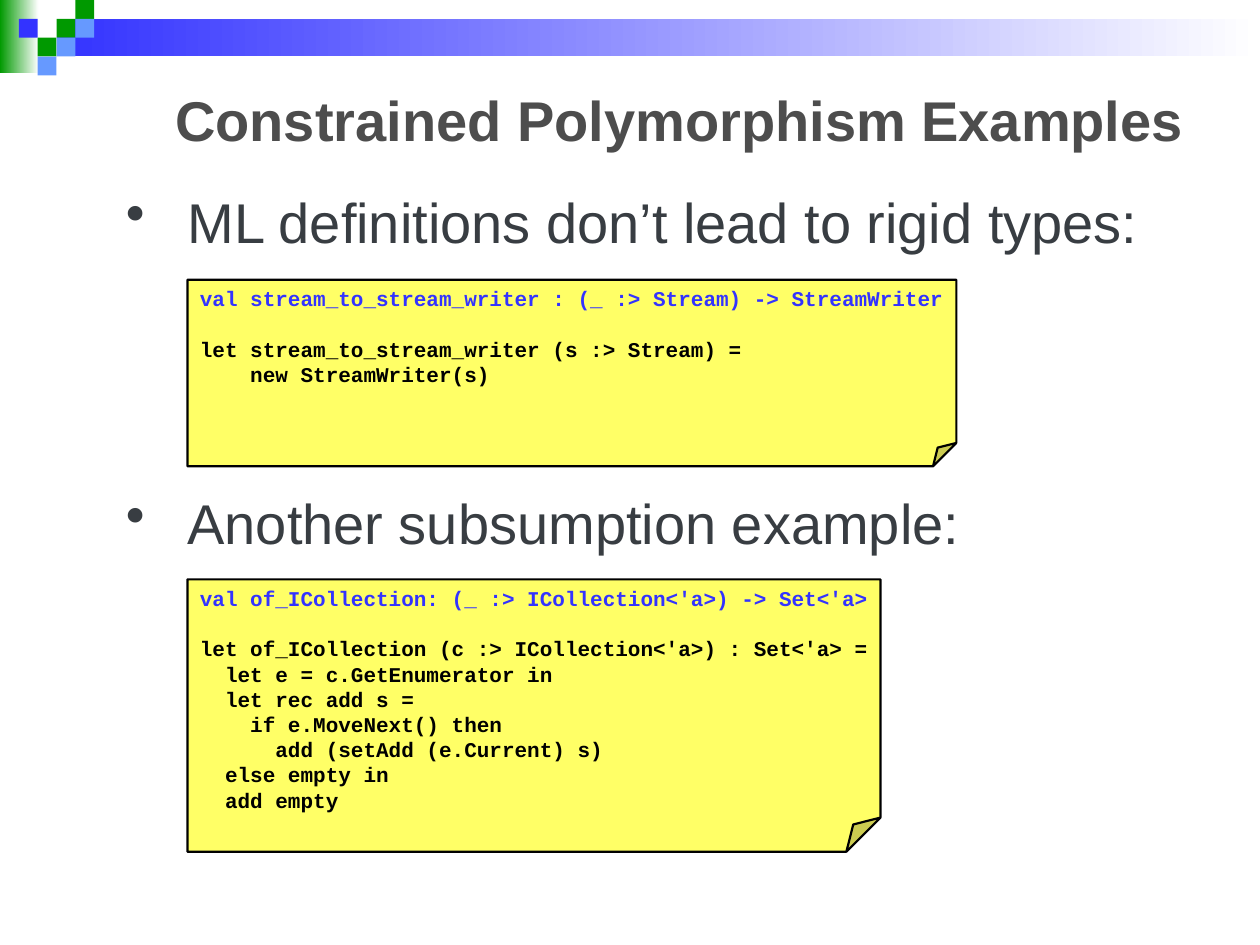
import pptx
import pptx.dml.color
import pptx.enum.shapes
import pptx.enum.text
import pptx.oxml.ns
import pptx.util
from lxml import etree
from pptx.util import Cm, Pt

TITLE = "Constrained Polymorphism Examples"
BULLETS = [  # text, space before in points
    ("ML definitions don’t lead to rigid types:", 0),
    ("Another subsumption example:", 141.5),
]
NOTES = [  # top, width, height in cm, signature, code lines
    (5.64, 15.5, 3.76,
     "val stream_to_stream_writer : (_ :> Stream) -> StreamWriter",
     ["let stream_to_stream_writer (s :> Stream) =",
      "    new StreamWriter(s)"]),
    (11.68, 13.97, 5.49,
     "val of_ICollection: (_ :> ICollection<'a>) -> Set<'a>",
     ["let of_ICollection (c :> ICollection<'a>) : Set<'a> =",
      "  let e = c.GetEnumerator in",
      "  let rec add s =",
      "    if e.MoveNext() then",
      "      add (setAdd (e.Current) s)",
      "  else empty in",
      "  add empty"]),
]
NOTE_LEFT = 3.78
CODE_LINE = 14.4
GREEN, BLUE, SKY, WHITE = "009900", "3333FF", "6699FF", "FFFFFF"
BANDS = [  # left, top, width, height in cm, colour that fades to white
    (0, 0, 0.78, 1.48, GREEN),
    (1.14, 0.38, 24.26, 0.76, BLUE),
]
TILE = 0.38
TILES = [  # column, row, colour
    (3, 1, GREEN), (4, 0, GREEN), (4, 1, SKY), (2, 2, GREEN),
    (1, 1, BLUE), (3, 2, SKY), (2, 3, SKY),
]
SHAPES = pptx.enum.shapes.MSO_SHAPE
ANCHOR = pptx.enum.text.MSO_ANCHOR


def color(value):
    return pptx.dml.color.RGBColor.from_string(value)


def set_font(paragraph, name, size, value, bold=False):
    font = paragraph.font
    font.name, font.size, font.bold = name, Pt(size), bold
    font.color.rgb = color(value)


def add_block(page, kind, left, top, width, height):
    block = page.shapes.add_shape(kind, Cm(left), Cm(top), Cm(width), Cm(height))
    block.shadow.inherit = False
    block.line.fill.background()
    return block


def add_text_box(page, left, top, width, height):
    box = page.shapes.add_textbox(Cm(left), Cm(top), Cm(width), Cm(height))
    box.text_frame.word_wrap = True
    return box.text_frame


def fill_paragraphs(frame, texts):
    """Put one text in each paragraph and return the paragraphs."""
    frame.text = "\n".join(texts)
    return frame.paragraphs


def add_bullet(paragraph, indent):
    properties = paragraph._p.get_or_add_pPr()
    properties.set("marL", str(Cm(indent)))
    properties.set("indent", str(-Cm(indent)))
    bullet = etree.SubElement(properties, pptx.oxml.ns.qn("a:buChar"))
    bullet.set("char", "•")


def set_fold(note, share):
    """Set the size of the folded corner, as a share of the shorter side."""
    geometry = note._element.spPr.find(pptx.oxml.ns.qn("a:prstGeom"))
    guide = etree.SubElement(geometry.get_or_add_avLst(), pptx.oxml.ns.qn("a:gd"))
    guide.set("name", "adj")
    guide.set("fmla", f"val {round(share * 100000)}")


def add_header(page):
    for left, top, width, height, value in BANDS:
        band = add_block(page, SHAPES.RECTANGLE, left, top, width, height)
        band.fill.gradient()
        band.fill.gradient_angle = 0
        for stop, shade, position in zip(band.fill.gradient_stops, (value, WHITE), (0, 1)):
            stop.color.rgb = color(shade)
            stop.position = position
    for column, row, value in TILES:
        tile = add_block(page, SHAPES.RECTANGLE, column * TILE, row * TILE, TILE, TILE)
        tile.fill.solid()
        tile.fill.fore_color.rgb = color(value)


def add_title(page):
    frame = add_text_box(page, 1.27, 1.27, 22.86, 2.26)
    frame.vertical_anchor = ANCHOR.MIDDLE
    paragraph = fill_paragraphs(frame, [TITLE])[0]
    paragraph.alignment = pptx.enum.text.PP_ALIGN.RIGHT
    set_font(paragraph, "Arial", 32, "4D4D4D", bold=True)


def add_bullets(page):
    frame = add_text_box(page, 2.29, 3.91, 21, 12.19)
    paragraphs = fill_paragraphs(frame, [text for text, _ in BULLETS])
    for paragraph, (_, gap) in zip(paragraphs, BULLETS):
        paragraph.line_spacing = 0.8
        paragraph.space_before = Pt(gap)
        add_bullet(paragraph, 1.24)
        set_font(paragraph, "Arial", 32, "383D42")


def add_note(page, top, width, height, signature, code):
    note = add_block(page, SHAPES.FOLDED_CORNER, NOTE_LEFT, top, width, height)
    set_fold(note, 0.125)
    note.fill.solid()
    note.fill.fore_color.rgb = color("FFFF66")
    note.line.color.rgb = color("000000")
    note.line.width = Pt(1.25)
    frame = note.text_frame
    frame.word_wrap = True
    frame.vertical_anchor = ANCHOR.TOP
    frame.margin_right = 0
    paragraphs = fill_paragraphs(frame, [signature] + code)
    for index, paragraph in enumerate(paragraphs):
        paragraph.alignment = pptx.enum.text.PP_ALIGN.LEFT
        paragraph.line_spacing = Pt(CODE_LINE)
        set_font(paragraph, "Courier New", 12, "000000" if index else BLUE, bold=True)
    paragraphs[0].space_after = Pt(CODE_LINE)


def main():
    deck = pptx.Presentation()
    deck.slide_width, deck.slide_height = Cm(25.4), Cm(19.05)
    page = deck.slides.add_slide(deck.slide_layouts[6])
    add_header(page)
    add_title(page)
    add_bullets(page)
    for note in NOTES:
        add_note(page, *note)
    deck.save("out.pptx")


if __name__ == "__main__":
    main()
